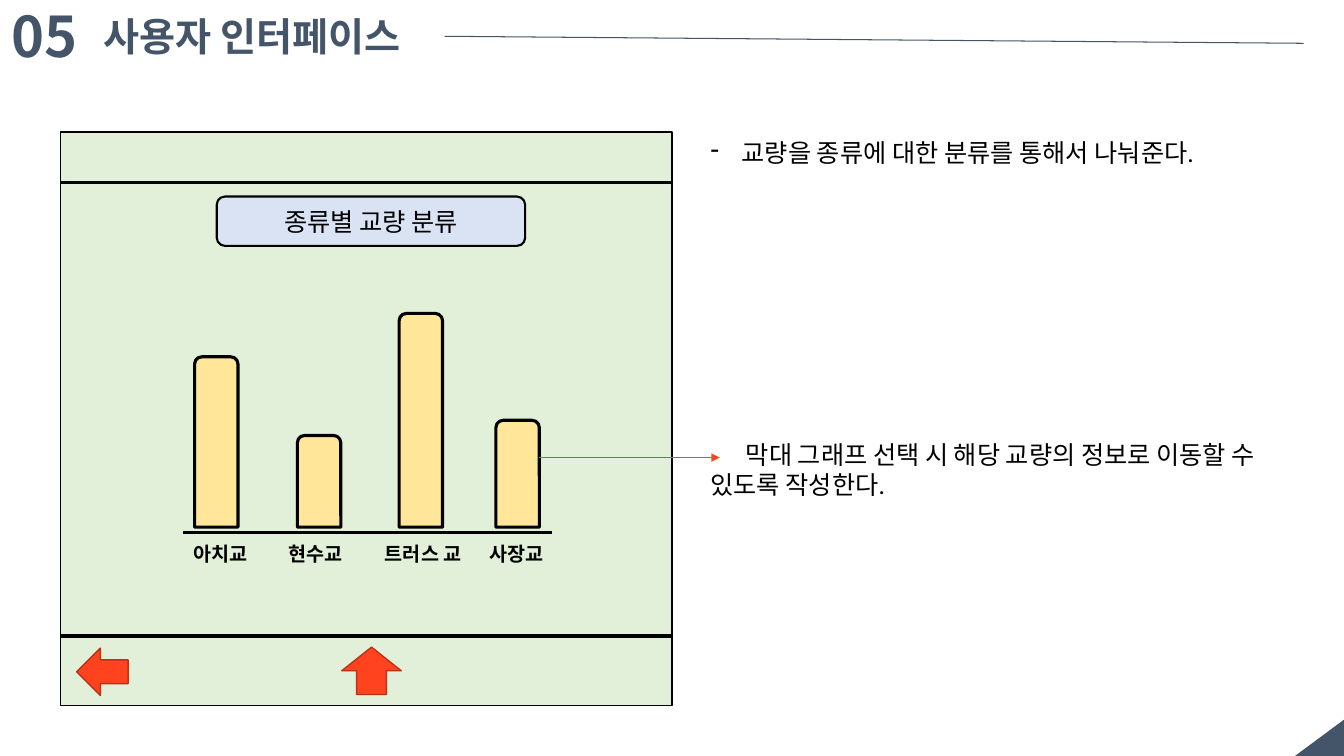
from pptx import Presentation
from pptx.dml.color import RGBColor
from pptx.enum.shapes import MSO_CONNECTOR, MSO_SHAPE
from pptx.enum.text import MSO_ANCHOR, PP_ALIGN
from pptx.oxml.ns import qn
from pptx.util import Inches, Pt
from lxml import etree

STRAIGHT = MSO_CONNECTOR.STRAIGHT
RECTANGLE = MSO_SHAPE.RECTANGLE
ROUNDED = MSO_SHAPE.ROUNDED_RECTANGLE
BAR = MSO_SHAPE.ROUND_2_SAME_RECTANGLE
TRIANGLE = MSO_SHAPE.RIGHT_TRIANGLE
LEFT_ARROW, UP_ARROW = MSO_SHAPE.LEFT_ARROW, MSO_SHAPE.UP_ARROW
MIDDLE, CENTER, LEFT = MSO_ANCHOR.MIDDLE, PP_ALIGN.CENTER, PP_ALIGN.LEFT

NAVY, BLACK, RED, DARK_RED = "445569", "000000", "FE431E", "BC3216"
GREEN, BLUE, YELLOW = "E2F0D9", "DAE3F3", "FFE699"
HANGUL_FONT = "Noto Sans CJK KR"


def colour(code):
    return RGBColor.from_string(code)


class Sketch:
    """Draws styled elements on a page, with lengths in percent of its size."""

    def __init__(self, deck):
        self.width, self.height = deck.slide_width, deck.slide_height
        self.page = deck.slides.add_slide(deck.slide_layouts[6])

    def place(self, left, top, width, height):
        return (self.across(left), self.down(top), self.across(width), self.down(height))

    def across(self, share):
        return round(self.width * share / 100)

    def down(self, share):
        return round(self.height * share / 100)

    def shape(self, kind, area, fill, line=None, weight=1):
        shape = self.page.shapes.add_shape(kind, *self.place(*area))
        shape.shadow.inherit = False
        shape.fill.solid()
        shape.fill.fore_color.rgb = colour(fill)
        if line:
            shape.line.color.rgb = colour(line)
            shape.line.width = Pt(weight)
        else:
            shape.line.fill.background()
        return shape

    def line(self, start, end, line, weight, arrow=False):
        connector = self.page.shapes.add_connector(
            STRAIGHT, self.across(start[0]), self.down(start[1]),
            self.across(end[0]), self.down(end[1]))
        connector.line.color.rgb = colour(line)
        connector.line.width = Pt(weight)
        properties = connector._element.spPr
        if arrow:
            etree.SubElement(properties.find(qn("a:ln")), qn("a:tailEnd"), type="triangle")
        etree.SubElement(properties, qn("a:effectLst"))

    def fill_text(self, frame, text, size, font="Calibri", ink=BLACK, bold=False, align=LEFT):
        para = frame.paragraphs[0]
        para.text = text
        para.alignment = align
        para.font.size = Pt(size)
        para.font.bold = bold
        para.font.name = font
        para.font.color.rgb = colour(ink)
        characters = para._p.pPr.find(qn("a:defRPr"))
        etree.SubElement(characters, qn("a:ea"), typeface=HANGUL_FONT)

    def text(self, area, text, size, wrap=True, indent=0, bullet=None, **style):
        frame = self.page.shapes.add_textbox(*self.place(*area)).text_frame
        frame.word_wrap = wrap
        properties = frame.paragraphs[0]._p.get_or_add_pPr()
        if bullet:
            properties.set("marL", str(Inches(indent)))
            properties.set("indent", str(-Inches(indent)))
            etree.SubElement(properties, qn("a:buChar"), char=bullet)
        elif indent:
            properties.set("indent", str(Inches(indent)))
        self.fill_text(frame, text, size, **style)


def main():
    deck = Presentation()
    deck.slide_width, deck.slide_height = Inches(13.33), Inches(7.5)
    sketch = Sketch(deck)

    corner = sketch.shape(TRIANGLE, (96.78, 94.27, 2.78, 6.67), NAVY)
    corner.rotation = 270
    sketch.text((0.15, -0.4, 9.53, 10.27), "05", 40, font=HANGUL_FONT, ink=NAVY, bold=True)
    sketch.text((6.98, 0.93, 26.1, 7.6), "사용자 인터페이스", 28, wrap=False,
                font="Arial", ink=NAVY, bold=True)
    sketch.line((33.08, 4.8), (97, 5.73), NAVY, 0.75)

    sketch.shape(RECTANGLE, (4.5, 17.47, 45.5, 75.87), GREEN, BLACK)
    for divider in (24.13, 84.13):
        sketch.line((4.5, divider), (50, divider), BLACK, 2.25)
    heading = sketch.shape(ROUNDED, (16.13, 26, 22.95, 6.53), BLUE, BLACK, 1.5)
    heading.text_frame.vertical_anchor = MIDDLE
    sketch.fill_text(heading.text_frame, "종류별 교량 분류", 18, align=CENTER)
    sketch.shape(LEFT_ARROW, (5.7, 85.73, 3.83, 6.27), RED, DARK_RED)
    sketch.shape(UP_ARROW, (25.43, 85.6, 4.43, 6.27), RED, DARK_RED)

    sketch.text((52.13, 17.47, 43.95, 5.4), "교량을 종류에 대한 분류를 통해서 나눠준다.", 18,
                indent=0.31, bullet="-")
    sketch.text((52.13, 57.47, 43.95, 9), "막대 그래프 선택 시 해당 교량의 정보로 이동할 수 있도록 작성한다.", 18,
                indent=0.35)

    baseline = 69.73
    sketch.line((13.65, 70.4), (41.1, 70.4), BLACK, 2.25)
    bridges = (
        ("아치교", 13.65, 14.48, 22.53),
        ("현수교", 20.7, 22.13, 12.13),
        ("트러스 교", 27.9, 29.7, 28.27),
        ("사장교", 35.7, 36.9, 14.13),
    )
    for name, label_left, bar_left, height in bridges:
        sketch.text((label_left, 71.07, 8, 4.53), name, 14, bold=True)
        sketch.shape(BAR, (bar_left, baseline - height, 3.23, height), YELLOW, BLACK, 2.25)
    sketch.line((40.13, 60.53), (53.55, 60.53), RED, 0.5, arrow=True)

    deck.save("out.pptx")


if __name__ == "__main__":
    main()
